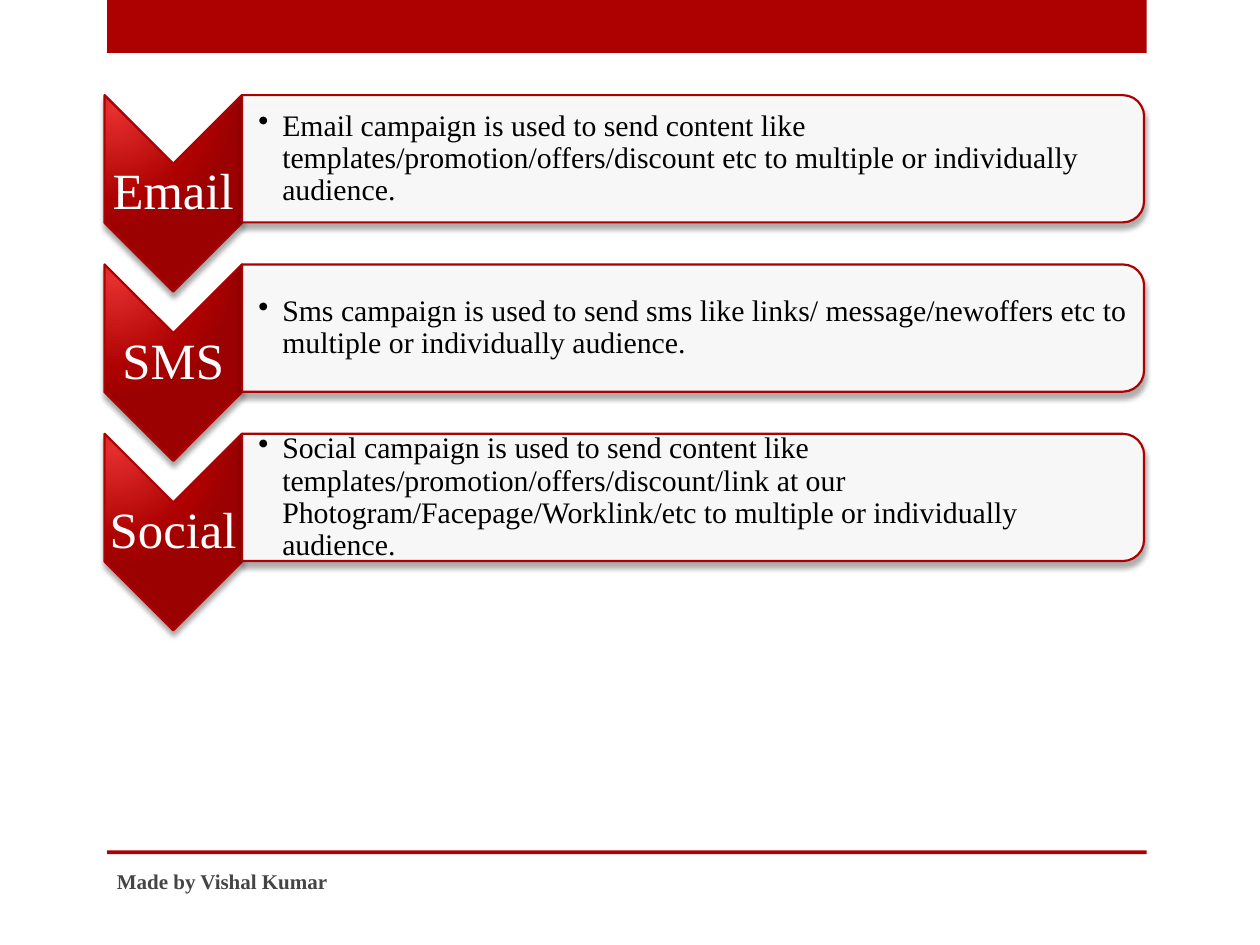
from lxml import etree
from pptx import Presentation
from pptx.dml.color import RGBColor
from pptx.enum.shapes import MSO_SHAPE
from pptx.enum.text import MSO_ANCHOR, PP_ALIGN
from pptx.oxml import parse_xml
from pptx.oxml.ns import nsdecls, qn
from pptx.util import Emu, Inches, Pt

RED = RGBColor(0xAD, 0x01, 0x01)
LIGHT_RED = RGBColor(0xE6, 0x2F, 0x2F)
DARK_RED = RGBColor(0x9C, 0x01, 0x01)
WHITE = RGBColor(0xFF, 0xFF, 0xFF)
BLACK = RGBColor(0, 0, 0)
GREY = RGBColor(0x45, 0x45, 0x45)
FONT = "Times New Roman"

SLIDE_WIDTH, SLIDE_HEIGHT = 10, 7.5
MARGIN = 0.85
LIST_LEFT, LIST_TOP, LIST_WIDTH = 0.83, 0.755, 8.25
ROW_PITCH = 1.344
CHEVRON_WIDTH, CHEVRON_HEIGHT, PANEL_HEIGHT = 1.09, 1.56, 1.01

CAMPAIGNS = [
    ("Email", "Email campaign is used to send content like "
     "templates/promotion/offers/discount etc to multiple or individually audience."),
    ("SMS", "Sms campaign is used to send sms like links/ message/newoffers etc to "
     "multiple or individually audience."),
    ("Social", "Social campaign is used to send content like "
     "templates/promotion/offers/discount/link at our "
     "Photogram/Facepage/Worklink/etc to multiple or individually audience."),
]


def add_bar(slide, left, top, width, height):
    bar = slide.shapes.add_shape(MSO_SHAPE.RECTANGLE, Inches(left), Inches(top),
                                 Inches(width), Inches(height))
    bar.shadow.inherit = False
    bar.fill.solid()
    bar.fill.fore_color.rgb = RED
    bar.line.fill.background()


def add_text(slide, text, box, size, color, inset=None):
    """Add a one-paragraph text box and return its frame and paragraph."""
    frame = slide.shapes.add_textbox(*map(Inches, box)).text_frame
    frame.word_wrap = True
    frame.vertical_anchor = MSO_ANCHOR.MIDDLE
    if inset is not None:
        frame.margin_left = frame.margin_right = Inches(inset)
        frame.margin_top = frame.margin_bottom = Inches(inset)
    paragraph = frame.paragraphs[0]
    paragraph.text = text
    paragraph.font.size = Pt(size)
    paragraph.font.name = FONT
    paragraph.font.color.rgb = color
    return frame, paragraph


def add_turned_shape(slide, kind, left, top, width, height):
    """Add a red-edged, shadowed shape that fills the box after a quarter turn."""
    shape = slide.shapes.add_shape(
        kind, Inches(left + (width - height) / 2), Inches(top + (height - width) / 2),
        Inches(height), Inches(width))
    shape.rotation = 90
    shape.fill.solid()
    shape.fill.fore_color.rgb = WHITE
    shape.line.color.rgb = RED
    shape.line.width = Pt(1.25)
    shape.shadow.inherit = False
    effects = shape._element.spPr.find(qn("a:effectLst"))
    effects.append(parse_xml(
        f'<a:outerShdw {nsdecls("a")} blurRad="{Pt(3)}" dist="{Pt(3)}" dir="5400000" '
        f'rotWithShape="0"><a:srgbClr val="{BLACK}"><a:alpha val="35000"/></a:srgbClr>'
        '</a:outerShdw>'))
    return shape


def add_chevron(slide, label, left, top, width, height):
    chevron = add_turned_shape(slide, MSO_SHAPE.CHEVRON, left, top, width, height)
    stops = "".join(f'<a:gs pos="{position}000"><a:srgbClr val="{color}"/></a:gs>'
                    for position, color in ((0, LIGHT_RED), (76, RED), (100, DARK_RED)))
    properties = chevron._element.spPr
    properties.replace(properties.find(qn("a:solidFill")), parse_xml(
        f'<a:gradFill {nsdecls("a")} rotWithShape="1"><a:gsLst>{stops}</a:gsLst>'
        '<a:path path="circle"><a:fillToRect l="15000" t="15000" r="100000" b="100000"/>'
        '</a:path></a:gradFill>'))
    label_box = (left, top + 0.35 * height, width, 0.3 * height)
    _, paragraph = add_text(slide, label, label_box, 29, WHITE, inset=0.02)
    paragraph.alignment = PP_ALIGN.CENTER
    paragraph.line_spacing = 0.9


def add_panel(slide, description, left, top, width, height):
    panel = add_turned_shape(slide, MSO_SHAPE.ROUND_2_SAME_RECTANGLE,
                             left, top, width, height)
    color = panel._element.spPr.find(qn("a:solidFill"))[0]
    etree.SubElement(color, qn("a:alpha"), val="90000")
    text_box = (left, top + 0.05 * height, width - 0.05, 0.9 * height)
    frame, paragraph = add_text(slide, description, text_box, 17, BLACK, inset=0.01)
    frame.margin_left = Inches(0.13)
    paragraph.line_spacing = 0.9
    properties = paragraph._p.get_or_add_pPr()
    properties.set("marL", str(Inches(0.19)))
    properties.set("indent", str(-Inches(0.19)))
    bullet = parse_xml(f'<a:buChar {nsdecls("a")} char="•"/>')
    properties.find(qn("a:defRPr")).addprevious(bullet)


def add_campaign_list(slide, left, top, width):
    for index, (label, description) in enumerate(CAMPAIGNS):
        row_top = top + index * ROW_PITCH
        add_chevron(slide, label, left, row_top, CHEVRON_WIDTH, CHEVRON_HEIGHT)
        add_panel(slide, description, left + CHEVRON_WIDTH, row_top,
                  width - CHEVRON_WIDTH, PANEL_HEIGHT)


def add_footer(slide, left, top, width):
    add_bar(slide, left, top, width, 0.03)
    _, paragraph = add_text(slide, "Made by Vishal Kumar",
                            (left - 0.02, top + 0.04, 5.33, 0.4), 12, GREY)
    paragraph.font.bold = True


def main():
    presentation = Presentation()
    presentation.slide_width = Inches(SLIDE_WIDTH)
    presentation.slide_height = Inches(SLIDE_HEIGHT)
    slide = presentation.slides.add_slide(presentation.slide_layouts[6])
    add_bar(slide, MARGIN, 0, LIST_WIDTH, 0.42)
    add_campaign_list(slide, LIST_LEFT, LIST_TOP, LIST_WIDTH)
    add_footer(slide, MARGIN, 0.9 * SLIDE_HEIGHT, LIST_WIDTH)
    presentation.save("out.pptx")


if __name__ == "__main__":
    main()
